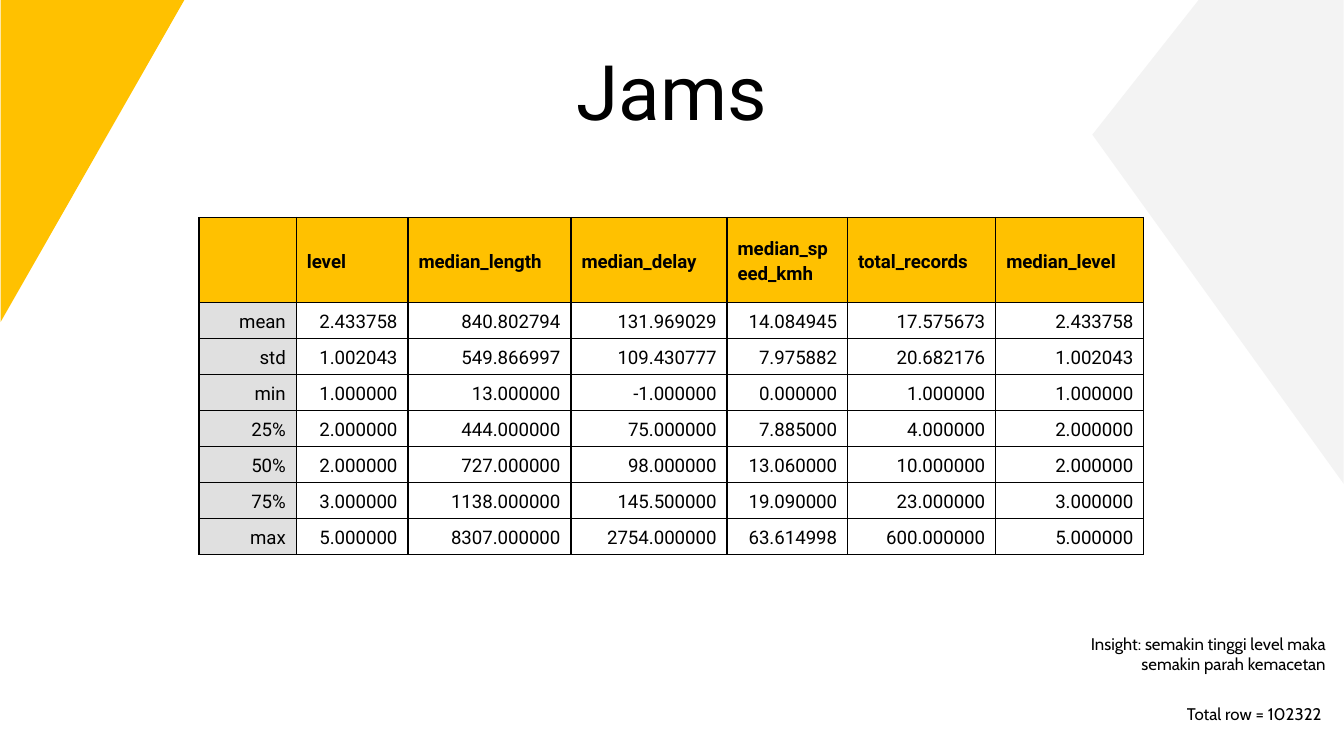
from lxml.etree import SubElement
from pptx import Presentation
from pptx.dml.color import RGBColor
from pptx.enum.shapes import MSO_SHAPE
from pptx.enum.text import MSO_ANCHOR, MSO_AUTO_SIZE, PP_ALIGN
from pptx.oxml.ns import qn
from pptx.util import Cm, Pt

COLORS = {"yellow": "FFC100", "pale": "F3F3F3", "label": "E0E0E0",
          "white": "FFFFFF", "black": "000000"}


def add_text(para, text, font, size, align, bold=False):
    para.alignment = align
    span = para.add_run()
    span.text = text
    span.font.name = font
    span.font.size = Pt(size)
    span.font.bold = bold
    span.font.color.rgb = RGBColor.from_string(COLORS["black"])


def add_borders(cell):
    properties = cell._tc.get_or_add_tcPr()
    for position, side in enumerate(("lnL", "lnR", "lnT", "lnB")):
        line = SubElement(properties, qn(f"a:{side}"), w=str(Pt(0.75)))
        fill = SubElement(line, qn("a:solidFill"))
        SubElement(fill, qn("a:srgbClr"), val=COLORS["black"])
        properties.insert(position, line)  # borders precede the cell fill


deck = Presentation()
deck.slide_width, deck.slide_height = Cm(25.4), Cm(14.29)
page = deck.slides.add_slide(deck.slide_layouts[5])

# Corner decorations
corners = [
    (MSO_SHAPE.ISOSCELES_TRIANGLE, (16.71, 0.46, 12.62, 4.75), 270, "pale"),
    (MSO_SHAPE.RIGHT_TRIANGLE, (-1.3, 1.3, 6.1, 3.48), 90, "yellow"),
]
for preset, place, rotation, color in corners:
    corner = page.shapes.add_shape(preset, *map(Cm, place))
    corner.rotation = rotation
    corner.shadow.inherit = False
    corner.fill.solid()
    corner.fill.fore_color.rgb = RGBColor.from_string(COLORS[color])
    corner.line.fill.background()
    if preset == MSO_SHAPE.ISOSCELES_TRIANGLE:
        corner.adjustments[0] = 0.523

# Title
title = page.shapes.title
title.left, title.top, title.width, title.height = map(Cm, (1.45, 0.58, 22.5, 1.6))
frame = title.text_frame
frame.auto_size = MSO_AUTO_SIZE.NONE
frame.vertical_anchor = MSO_ANCHOR.TOP
frame.margin_left = frame.margin_right = Cm(0.25)
frame.margin_top = frame.margin_bottom = Cm(0.25)
add_text(frame.paragraphs[0], "Jams", "Roboto", 41, PP_ALIGN.CENTER)

# Statistics table
rows = [
    ["", "level", "median_length", "median_delay", "median_speed_kmh",
     "total_records", "median_level"],
    ["mean", "2.433758", "840.802794", "131.969029", "14.084945", "17.575673", "2.433758"],
    ["std", "1.002043", "549.866997", "109.430777", "7.975882", "20.682176", "1.002043"],
    ["min", "1.000000", "13.000000", "-1.000000", "0.000000", "1.000000", "1.000000"],
    ["25%", "2.000000", "444.000000", "75.000000", "7.885000", "4.000000", "2.000000"],
    ["50%", "2.000000", "727.000000", "98.000000", "13.060000", "10.000000", "2.000000"],
    ["75%", "3.000000", "1138.000000", "145.500000", "19.090000", "23.000000", "3.000000"],
    ["max", "5.000000", "8307.000000", "2754.000000", "63.614998", "600.000000", "5.000000"],
]
widths = [1.84, 2.11, 3.08, 2.95, 2.28, 2.8, 2.8]
header_height, row_height = 1.61, 0.68
table = page.shapes.add_table(
    len(rows), len(widths), Cm(3.76), Cm(4.11), Cm(sum(widths)),
    Cm(header_height + row_height * (len(rows) - 1))).table
for column, width in zip(table.columns, widths):
    column.width = Cm(width)
for row_index, values in enumerate(rows):
    is_header = row_index == 0
    table.rows[row_index].height = Cm(header_height if is_header else row_height)
    for column_index, value in enumerate(values):
        cell = table.cell(row_index, column_index)
        is_label = column_index == 0
        color = "yellow" if is_header else "label" if is_label else "white"
        cell.fill.solid()
        cell.fill.fore_color.rgb = RGBColor.from_string(COLORS[color])
        add_borders(cell)
        cell.margin_left = cell.margin_right = Cm(0.2)
        cell.margin_top = cell.margin_bottom = Cm(0.1)
        if is_header or is_label:
            cell.vertical_anchor = MSO_ANCHOR.MIDDLE
        if value:
            para = cell.text_frame.paragraphs[0]
            para.line_spacing = 1.15
            align = PP_ALIGN.LEFT if is_header else PP_ALIGN.RIGHT
            add_text(para, value, "Roboto", 10, align, is_header)

# Notes at the bottom right
remarks = [
    ("Total row = 102322", (20.19, 13.11, 5.03, 0.89)),
    ("Insight: semakin tinggi level maka semakin parah kemacetan",
     (20.27, 11.73, 5.03, 1.68)),
]
for text, place in remarks:
    box = page.shapes.add_textbox(*map(Cm, place))
    frame = box.text_frame
    frame.word_wrap = True
    frame.auto_size = MSO_AUTO_SIZE.SHAPE_TO_FIT_TEXT
    frame.margin_left = frame.margin_right = Cm(0.25)
    frame.margin_top = frame.margin_bottom = Cm(0.25)
    add_text(frame.paragraphs[0], text, "Cabin", 9, PP_ALIGN.RIGHT)

deck.save("out.pptx")
